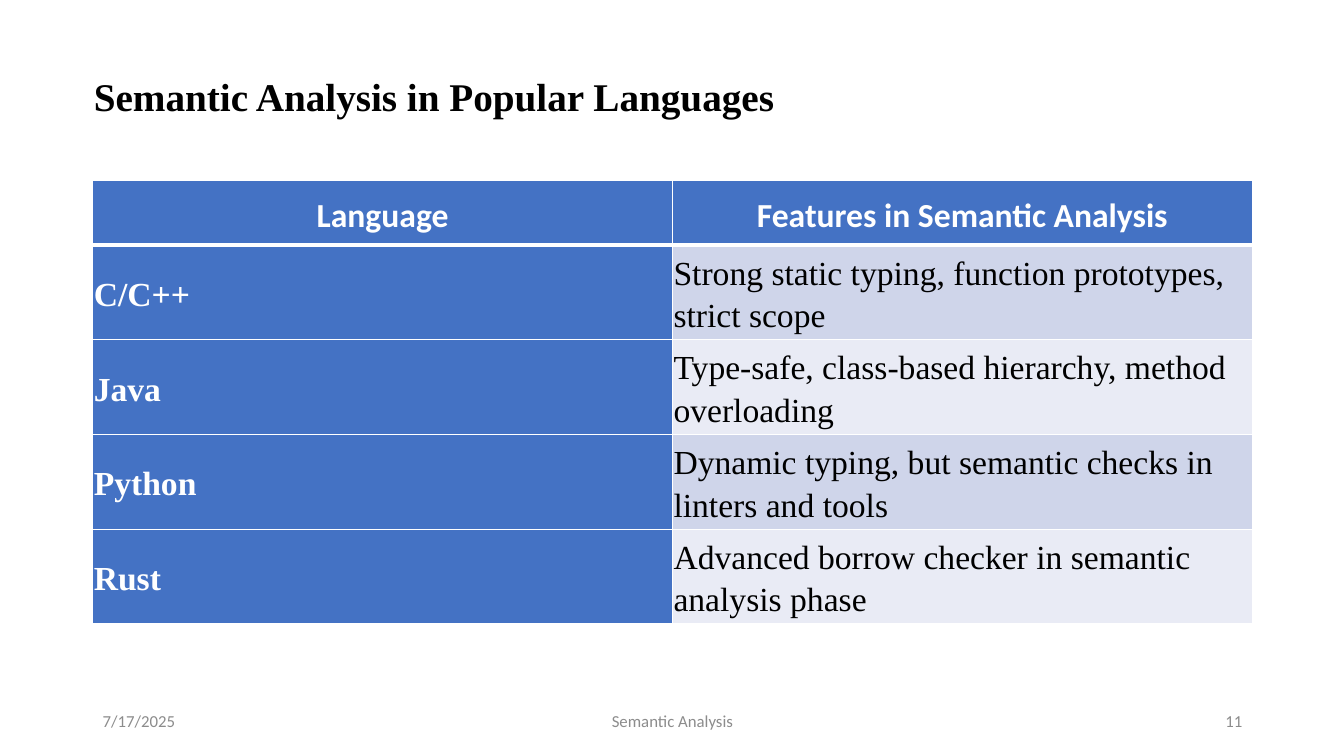
from pptx import Presentation
from pptx.dml.color import RGBColor
from pptx.enum import text as t
from pptx.oxml import parse_xml
from pptx.oxml.ns import nsdecls
from pptx.util import Inches, Pt

SERIF, SANS = "Times New Roman", "Calibri"
WHITE, BLACK, BLUE, GREY = "FFFFFF", "000000", "4472C4", "8C8C8C"
BANDS = ["CFD5EA", "E9EBF5"]
LEFT, MID, RIGHT = t.PP_ALIGN.LEFT, t.PP_ALIGN.CENTER, t.PP_ALIGN.RIGHT
ROWS = [
    ("Language", "Features in Semantic Analysis"),
    ("C/C++", "Strong static typing, function prototypes, strict scope"),
    ("Java", "Type-safe, class-based hierarchy, method overloading"),
    ("Python", "Dynamic typing, but semantic checks in linters and tools"),
    ("Rust", "Advanced borrow checker in semantic analysis phase"),
]


def color(code):
    return RGBColor.from_string(code)


def write(frame, words, size, face, code, bold=False, align=LEFT):
    frame.text = words
    frame.word_wrap = True
    para = frame.paragraphs[0]
    para.alignment = align
    font = para.runs[0].font
    font.size, font.name, font.bold = Pt(size), face, bold
    font.color.rgb = color(code)
    return para


def space(para):
    para.line_spacing = 1.15
    para.space_before = Pt(0)
    para.space_after = Pt(8)


def place(shape, x, y, w, h):
    shape.left, shape.top = Inches(x), Inches(y)
    shape.width, shape.height = Inches(w), Inches(h)


def edge(cell, side, width):
    props = cell._tc.get_or_add_tcPr()
    props.append(parse_xml(
        f'<a:{side} {nsdecls("a")} w="{Pt(width)}"><a:solidFill>'
        f'<a:srgbClr val="{WHITE}"/></a:solidFill></a:{side}>'))


def title(slide, x, y, w, h):
    head = slide.shapes.title
    place(head, x, y, w, h)
    frame = head.text_frame
    space(write(frame, "Semantic Analysis in Popular Languages",
                28, SERIF, BLACK, True))
    frame.vertical_anchor = t.MSO_ANCHOR.TOP
    frame.auto_size = t.MSO_AUTO_SIZE.SHAPE_TO_FIT_TEXT


def fill(cell, words, row, col):
    top, key = row == 0, row == 0 or col == 0
    space(write(cell.text_frame, words, 24, SANS if top else SERIF,
                WHITE if key else BLACK, key, MID if top else LEFT))
    cell.vertical_anchor = t.MSO_ANCHOR.MIDDLE
    cell.margin_left = cell.margin_right = Inches(0.01)
    cell.margin_top = cell.margin_bottom = Inches(0.01)
    for side in ("lnL", "lnR", "lnT", "lnB"):
        thick = (top and side == "lnB") or (row == 1 and side == "lnT")
        edge(cell, side, 3 if thick else 1)
    cell.fill.solid()
    cell.fill.fore_color.rgb = color(BLUE if key else BANDS[(row - 1) % 2])


def table(slide, x, y, w, h):
    grid = slide.shapes.add_table(len(ROWS), 2, Inches(x), Inches(y),
                                  Inches(w), Inches(h)).table
    grid.first_col = True
    for col in grid.columns:
        col.width = Inches(w / 2)
    first = 0.64
    for row, words in enumerate(ROWS):
        grid.rows[row].height = Inches(
            first if row == 0 else (h - first) / (len(ROWS) - 1))
        for col, word in enumerate(words):
            fill(grid.cell(row, col), word, row, col)


def footer(slide, x, y, w, h):
    side, wide = 3, 4.5
    parts = [
        ("7/17/2025", x, side, LEFT),
        ("Semantic Analysis", x + (w - wide) / 2, wide, MID),
        ("11", x + w - side, side, RIGHT),
    ]
    for words, left, width, align in parts:
        box = slide.shapes.add_textbox(Inches(left), Inches(y),
                                       Inches(width), Inches(h))
        write(box.text_frame, words, 12, SANS, GREY, align=align)
        box.text_frame.vertical_anchor = t.MSO_ANCHOR.MIDDLE


def main():
    deck = Presentation()
    deck.slide_width, deck.slide_height = Inches(13.33), Inches(7.5)
    slide = deck.slides.add_slide(deck.slide_layouts[5])
    title(slide, 0.83, 0.6, 8.08, 0.61)
    table(slide, 0.92, 1.79, 11.5, 4.4)
    footer(slide, 0.92, 6.95, 11.5, 0.4)
    deck.save("out.pptx")


if __name__ == "__main__":
    main()
